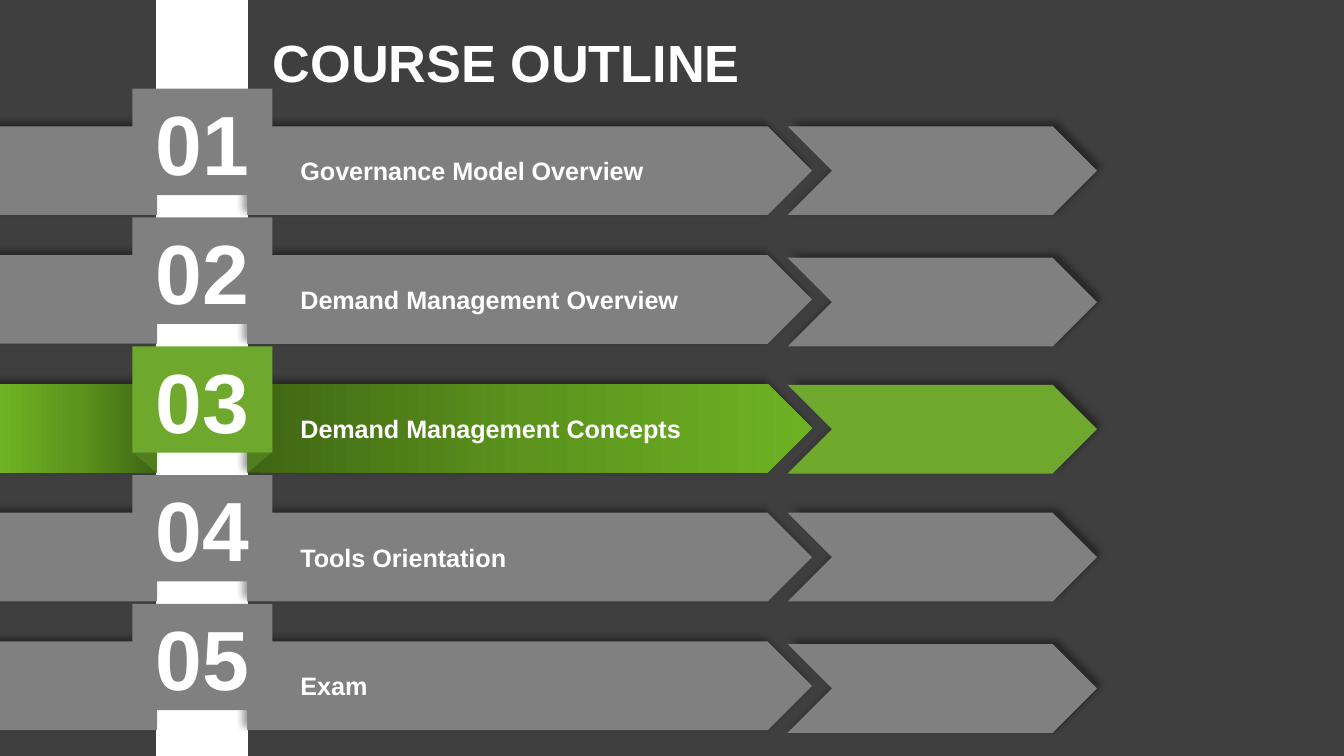
"""Build a course outline slide with five numbered arrow banners."""
from lxml import etree
from pptx import Presentation
from pptx import util as u
from pptx.dml.color import RGBColor
from pptx.enum import shapes, text
from pptx.oxml import parse_xml
from pptx.oxml.ns import nsdecls, qn

Pt = u.Pt
MSO = shapes.MSO_SHAPE
COLORS = {"back": "3F3F3F", "white": "FFFFFF", "gray": "808080", "green": "6EA92D",
          "fold": "527E21", "shadow": "000000"}
GRADIENT = {0: "3F6614", 50: "5C941D", 100: "6EB223"}
TOPICS = ["Governance Model Overview", "Demand Management Overview",
          "Demand Management Concepts", "Tools Orientation", "Exam"]
CHEVRON_SHIFTS = [0, 1.4, 0.5, 0, 1.4]
ACTIVE = 2
FIRST_TOP, PITCH, BAND_H = 67.7, 69, 47.5


def add_block(kind, x, y, w, h, color, gradient_angle=None, shadow_angle=None):
    sp = s.shapes.add_shape(kind, Pt(x), Pt(y), Pt(w), Pt(h))
    if gradient_angle is None:
        sp.fill.solid()
        sp.fill.fore_color.rgb = RGBColor.from_string(COLORS[color])
    else:
        stops = "".join(f'<a:gs pos="{pos * 1000}"><a:srgbClr val="{c}"/></a:gs>'
                        for pos, c in GRADIENT.items())
        sp._element.spPr.append(parse_xml(
            f'<a:gradFill {nsdecls("a")} rotWithShape="1"><a:gsLst>{stops}</a:gsLst>'
            f'<a:lin ang="{gradient_angle * 60000}" scaled="0"/></a:gradFill>'))
    sp.line.fill.background()
    sp.shadow.inherit = False
    if shadow_angle is not None:
        effects = sp._element.spPr.find(qn("a:effectLst"))
        shadow = etree.SubElement(effects, qn("a:outerShdw"), blurRad=str(Pt(4)),
                                  dist=str(Pt(3)), dir=str(shadow_angle * 60000),
                                  algn="ctr", rotWithShape="0")
        clr = etree.SubElement(shadow, qn("a:srgbClr"), val=COLORS["shadow"])
        etree.SubElement(clr, qn("a:alpha"), val="40000")
    return sp


def add_label(sp, words, size, align, margins=(5, 3, 5, 3), anchor=text.MSO_ANCHOR.MIDDLE):
    tf = sp.text_frame
    tf.word_wrap = True
    tf.auto_size = text.MSO_AUTO_SIZE.NONE
    tf.vertical_anchor = anchor
    tf.margin_left, tf.margin_top, tf.margin_right, tf.margin_bottom = map(Pt, margins)
    p = tf.paragraphs[0]
    p.alignment = align
    r = p.add_run()
    r.text = words
    r.font.name, r.font.size, r.font.bold = "Arial", Pt(size), True
    r.font.color.rgb = RGBColor.from_string(COLORS["white"])
    return p


prs = Presentation()
prs.slide_width, prs.slide_height = Pt(720), Pt(405)
s = prs.slides.add_slide(prs.slide_layouts[5])
s.background.fill.solid()
s.background.fill.fore_color.rgb = RGBColor.from_string(COLORS["back"])

title = s.shapes.title
title.left, title.top, title.width, title.height = Pt(139), Pt(6.5), Pt(581), Pt(45.4)
add_label(title, "COURSE OUTLINE", 28, text.PP_ALIGN.LEFT, (7.2, 9.5, 7.2, 0),
          text.MSO_ANCHOR.TOP)

ribbon = add_block(MSO.RECTANGLE, 84, 0, 48.3, 405, "white")
ribbon.line.color.rgb = RGBColor.from_string(COLORS["white"])
ribbon.line.width = Pt(1)

for i, (topic, shift) in enumerate(zip(TOPICS, CHEVRON_SHIFTS)):
    top = FIRST_TOP + PITCH * i
    active = i == ACTIVE
    color, fold = ("green", "fold") if active else ("gray", "gray")

    banner = add_block(MSO.PENTAGON, 132.5, top, 302.5, BAND_H, color,
                       0 if active else None, 225)
    p = add_label(banner, topic, 13.5, text.PP_ALIGN.LEFT)
    pPr = p._p.get_or_add_pPr()
    pPr.set("marL", str(Pt(23.5)))
    pPr.set("indent", "0")

    add_block(MSO.RECTANGLE, 0, top, 84, BAND_H, color, 180 if active else None, 225)

    for x, flipped in ((132.5, True), (71, False)):
        corner = add_block(MSO.RIGHT_TRIANGLE, x, top + 36.7, 13, 10.8, fold)
        corner.rotation = 180
        if flipped:
            corner._element.spPr.xfrm.set("flipH", "1")

    number = add_block(MSO.RECTANGLE, 71, top - 20.2, 75, 57, color)
    add_label(number, f"{i + 1:02}", 45, text.PP_ALIGN.CENTER)

    add_block(MSO.CHEVRON, 422, top + shift, 165.7, BAND_H, color, shadow_angle=315)

prs.save("out.pptx")
